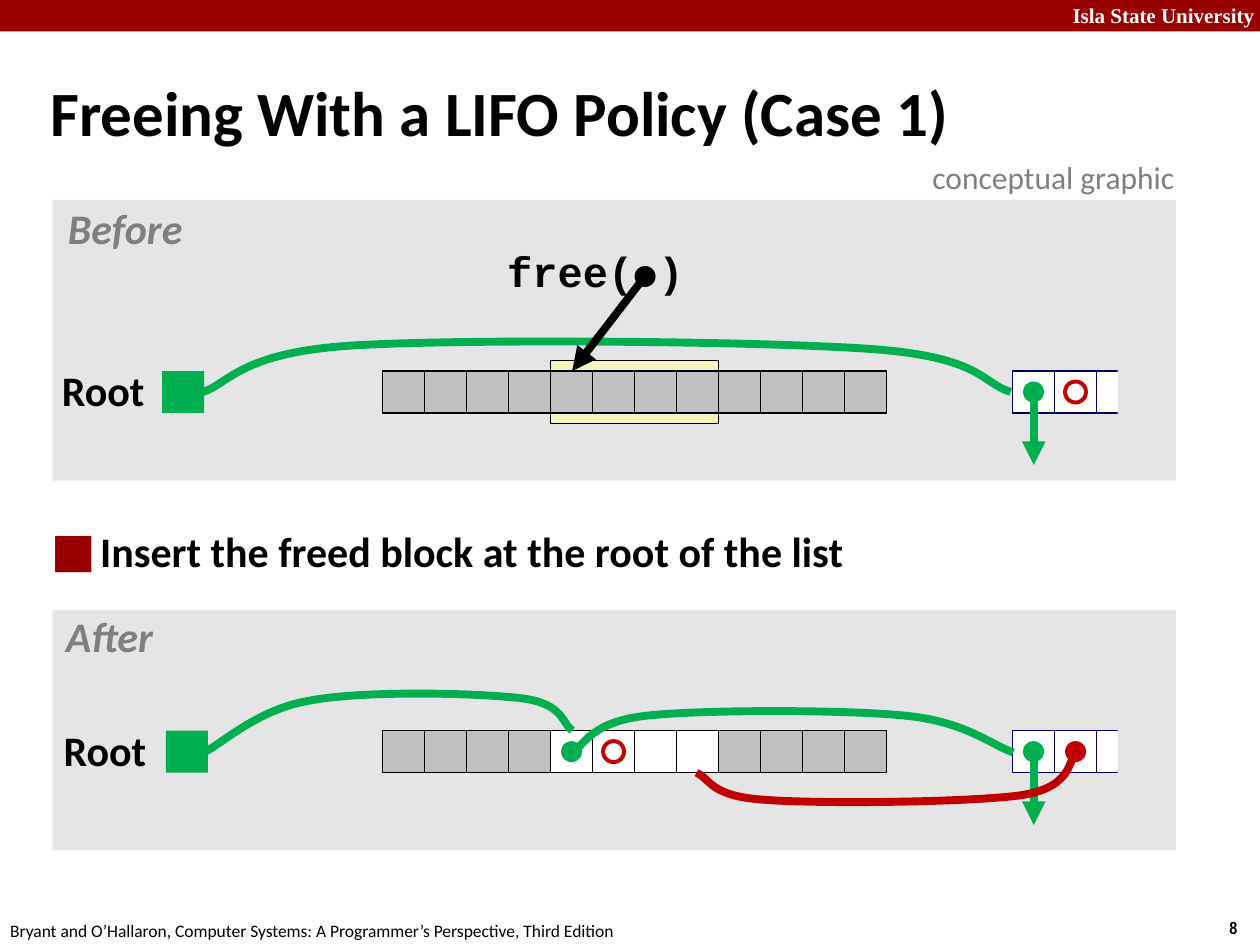
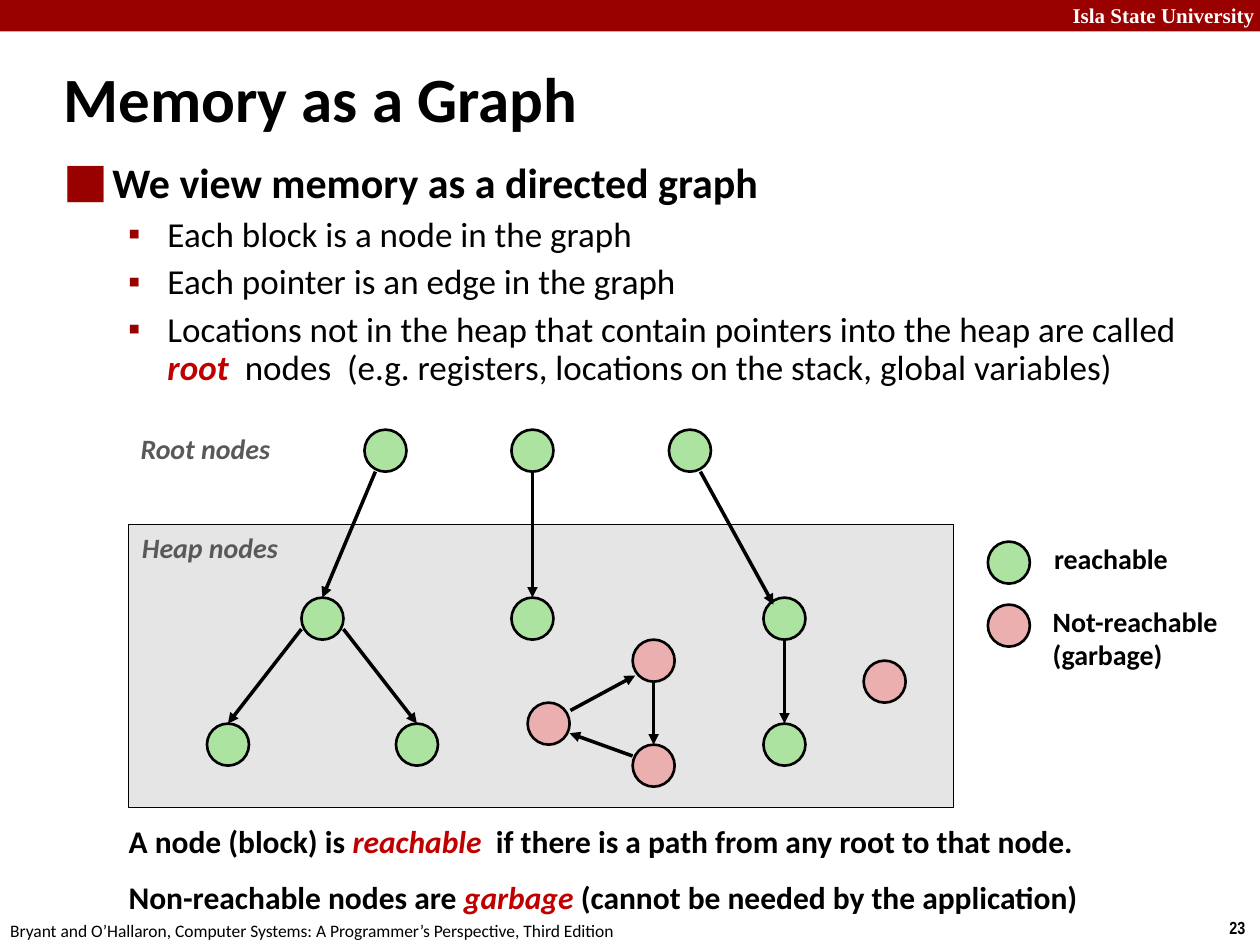
from lxml import etree
from pptx import Presentation, util as u
from pptx.dml.color import RGBColor
from pptx.enum import shapes, text
from pptx.oxml import ns

Pt = u.Pt
RECT, OVAL = shapes.MSO_SHAPE.RECTANGLE, shapes.MSO_SHAPE.OVAL
LEFT, CENTER, RIGHT = text.PP_ALIGN.LEFT, text.PP_ALIGN.CENTER, text.PP_ALIGN.RIGHT

THEME = {
    "color": {
        "band": "990000", "panel": "E5E5E5", "black": "000000", "white": "FFFFFF",
        "green": "00B050", "red": "C00000", "used": "C0C0C0", "navy": "000066",
        "highlight": "F6F5BD", "gray": "7F7F7F", "dark gray": "595959",
        "reachable": "ACE3A1", "garbage": "EBAFAF",
    },
    "type": {
        "header": ("Times New Roman", 12, "white", True, False),
        "number": ("Arial Narrow", 10, "black", True, False),
        "footer": ("Calibri", 10, "black", False, False),
        "title": ("Calibri", 36, "black", True, False),
        "list": ("Calibri", 24, "black", True, False),
        "sublist": ("Calibri", 20, "black", False, False),
        "sublist term": ("Calibri", 20, "red", True, True),
        "code": ("Courier New", 24, "black", True, False),
        "stage": ("Calibri", 24, "gray", True, True),
        "caption": ("Calibri", 18, "gray", False, False),
        "area": ("Calibri", 16, "dark gray", True, True),
        "legend": ("Calibri", 16, "black", True, False),
        "note": ("Calibri", 18, "black", True, False),
        "note term": ("Calibri", 18, "red", True, True),
    },
}
COLOR = {name: RGBColor.from_string(value) for name, value in THEME["color"].items()}


def add_mark(parent, kind, left, top, width, height, fill=None, line=None, weight=0.75):
    shape = parent.shapes.add_shape(kind, Pt(left), Pt(top), Pt(width), Pt(height))
    shape.shadow.inherit = False
    if fill:
        shape.fill.solid()
        shape.fill.fore_color.rgb = COLOR[fill]
    else:
        shape.fill.background()
    if line:
        shape.line.color.rgb = COLOR[line]
        shape.line.width = Pt(weight)
    else:
        shape.line.fill.background()


def set_text(shape, box, paragraphs, align=LEFT, spacing=1.0, inset=7.2):
    shape.left, shape.top, shape.width, shape.height = map(Pt, box)
    frame = shape.text_frame
    frame.word_wrap = True
    frame.auto_size = text.MSO_AUTO_SIZE.NONE
    frame.margin_left = frame.margin_right = Pt(inset)
    frame.margin_top = frame.margin_bottom = Pt(3.6)
    for index, (runs, layout) in enumerate(paragraphs):
        paragraph = frame.add_paragraph() if index else frame.paragraphs[0]
        paragraph.alignment = align
        paragraph.level = layout.get("level", 0)
        paragraph.line_spacing = layout.get("spacing", spacing)
        paragraph.space_before = Pt(layout.get("before", 0))
        properties = paragraph._p.get_or_add_pPr()
        margin, hang = layout.get("indent", (0, 0))
        properties.set("marL", str(Pt(margin)))
        properties.set("indent", str(Pt(-hang)))
        if "bullet" in layout:
            color = etree.SubElement(properties, ns.qn("a:buClr"))
            etree.SubElement(color, ns.qn("a:srgbClr"), val=THEME["color"]["band"])
            etree.SubElement(properties, ns.qn("a:buChar"), char=layout["bullet"])
        for words, style in runs:
            if words == "\n":
                paragraph.add_line_break()
                continue
            run = paragraph.add_run()
            run.text = words
            font = run.font
            font.name, size, color, font.bold, font.italic = THEME["type"][style]
            font.size = Pt(size)
            font.color.rgb = COLOR[color]


presentation = Presentation()
presentation.slide_width, presentation.slide_height = Pt(720), Pt(540)

ITEM = {"indent": (27, 27), "bullet": "⬛"}
SUBITEM = {"level": 1, "indent": (58.5, 22.5), "bullet": "▪", "spacing": 0.9, "before": 5.6}
pages = [
    ("8", "Freeing With a LIFO Policy (Case 1)", (21.5, 36, 686, 62), (23, 299, 654, 44), [
        ([("Insert the freed block at the root of the list", "list")], {**ITEM, "spacing": 0.95}),
    ]),
    ("23", "Memory as a Graph", (29, 36, 499, 45), (30, 90.25, 667, 122), [
        ([("We view memory as a directed graph", "list")], {**ITEM, "spacing": 0.85}),
        ([("Each block is a node in the graph", "sublist")], SUBITEM),
        ([("Each pointer is an edge in the graph", "sublist")], SUBITEM),
        ([("Locations not in the heap that contain pointers into the heap are called ", "sublist"),
          ("root", "sublist term"),
          ("  nodes  (e.g. registers, locations on the stack, global variables)", "sublist")],
         SUBITEM),
    ]),
]
for number, title, title_box, body_box, items in pages:
    slide = presentation.slides.add_slide(presentation.slide_layouts[1])
    add_mark(slide, RECT, 0, 0, 720, 18, "band")
    for words, style, box, align in [
        ("Isla State University", "header", (604, -2, 120, 22), RIGHT),
        (number, "number", (695.5, 520.5, 25, 20), LEFT),
        ("Bryant and O’Hallaron, Computer Systems: A Programmer’s Perspective, Third Edition",
         "footer", (-1.25, 522, 366, 20), LEFT),
    ]:
        label = slide.shapes.add_textbox(0, 0, 0, 0)
        set_text(label, box, [([(words, style)], {})], align)
    set_text(slide.shapes.title, title_box, [([(title, "title")], {})], spacing=0.87)
    slide.shapes.title.text_frame.vertical_anchor = text.MSO_ANCHOR.MIDDLE
    set_text(slide.placeholders[1], body_box, items)

lifo, graph = presentation.slides

CELL, DOT = 24, 12
BLOCK_LEFT, LIST_LEFT, FREED = 218.6, 578.6, range(4, 8)
BEFORE_TOP, AFTER_TOP = 212, 417.5
add_mark(lifo, RECT, 30, 348.5, 642, 137.5, "panel")
add_mark(lifo, RECT, 30, 114.25, 642, 160.5, "panel")
add_mark(lifo, RECT, BLOCK_LEFT + 4 * CELL, BEFORE_TOP - 6, 4 * CELL, 36, "highlight", "black")
for top, root_left, freed_fill in [(BEFORE_TOP, 92.6, "used"), (AFTER_TOP, 94.75, "white")]:
    add_mark(lifo, RECT, root_left, top, CELL, CELL, "green")
    for index in range(12):
        fill = freed_fill if index in FREED else "used"
        add_mark(lifo, RECT, BLOCK_LEFT + index * CELL, top, CELL, CELL, fill, "black")
    list_node = lifo.shapes.add_group_shape()
    for index in range(3):
        add_mark(list_node, RECT, LIST_LEFT + index * CELL, top, CELL, CELL, "white", "navy")
    add_mark(list_node, RECT, LIST_LEFT + 2.5 * CELL, top - 6, CELL, 36, "panel")
    add_mark(lifo, OVAL, LIST_LEFT + 6, top + 6, DOT, DOT, "green")

list_previous, freed_next = LIST_LEFT + CELL + 6, BLOCK_LEFT + 4 * CELL + 6
add_mark(lifo, OVAL, list_previous, BEFORE_TOP + 6, DOT, DOT, None, "red", 2.25)
add_mark(lifo, OVAL, list_previous, AFTER_TOP + 6, DOT, DOT, "red")
add_mark(lifo, OVAL, freed_next, AFTER_TOP + 6, DOT, DOT, "green")
add_mark(lifo, OVAL, freed_next + CELL, AFTER_TOP + 6, DOT, DOT, None, "red", 2.25)
add_mark(lifo, OVAL, 362.6, 152, DOT, DOT, "black")

NODE = 24
add_mark(graph, RECT, 73.5, 299.75, 471.5, 161.75, "panel", "black")
nodes = {
    "reachable": [(208.25, 245.5), (292.25, 245.5), (382.25, 245.5),
                  (172.25, 341.5), (292.25, 341.5), (436.25, 341.5),
                  (118.25, 413.5), (226.25, 413.5), (436.25, 413.5), (564.5, 309.5)],
    "garbage": [(361.5, 365.5), (361.5, 425.5), (301.5, 401.5), (493.5, 377.5), (564.5, 345.5)],
}
for state, positions in nodes.items():
    for left, top in positions:
        add_mark(graph, OVAL, left, top, NODE, NODE, state, "black", 1.5)

labels = [
    (lifo, "free( )", "code", (285, 140, 110.5, 34), CENTER, 0.9, 3.6),
    (lifo, "Root", "list", (31, 208, 56, 34), CENTER, 0.9, 3.6),
    (lifo, "Root", "list", (32, 413.5, 56, 34), CENTER, 0.9, 3.6),
    (lifo, "Before", "stage", (34, 115.5, 75, 34), CENTER, 0.9, 3.6),
    (lifo, "After", "stage", (32.5, 348.5, 60, 34), CENTER, 0.9, 3.6),
    (lifo, "conceptual graphic", "caption", (525.75, 87, 156, 29), LEFT, 1, 7.2),
    (graph, "Root nodes", "area", (73.25, 243, 92, 27), LEFT, 1, 7.2),
    (graph, "Heap nodes", "area", (74, 299.75, 95, 27), LEFT, 1, 7.2),
    (graph, "reachable", "legend", (595.25, 305.75, 81, 27), LEFT, 1, 7.2),
    (graph, "Not-reachable\n(garbage)", "legend", (594.5, 341.75, 111, 46), LEFT, 1, 7.2),
]
for slide, words, style, box, align, spacing, inset in labels:
    runs = [(part, style) for part in words.replace("\n", "|\n|").split("|")]
    label = slide.shapes.add_textbox(0, 0, 0, 0)
    set_text(label, box, [(runs, {})], align, spacing, inset)

notes = [
    ([("A node (block) is ", "note"), ("reachable", "note term"),
      ("  if there is a path from any root to that node.", "note")], {"indent": (30, 30)}),
    ([("Non-reachable nodes are ", "note"), ("garbage ", "note term"),
      ("(cannot be needed by the application)", "note")], {"indent": (30, 30), "before": 11.2}),
]
set_text(graph.shapes.add_textbox(0, 0, 0, 0), (66.4, 468, 583, 66), notes, spacing=0.95)

links = [
    (lifo, "green", 4.5, [(116, 224), (130.5, 219.5), (137, 201.5), (201, 197.5), (264, 193.5),
                          (435.5, 195), (498, 199.5), (561, 204), (561, 219), (577.5, 224)]),
    (lifo, "black", 4.5, [(368.5, 158), (327, 212)]),
    (lifo, "green", 4.5, [(590.75, 224), (590.75, 265.75)]),
    (lifo, "green", 4.5, [(590.75, 429.5), (590.75, 471.5)]),
    (lifo, "green", 4.5, [(116.5, 430), (127, 425), (147, 405.5), (176.5, 400.5), (206.5, 394.5),
                          (272, 396), (297.5, 399), (322.5, 402), (321, 413.5), (327, 417.5)]),
    (lifo, "green", 4.5, [(327, 430), (334, 426), (337.5, 412.5), (369.5, 409), (401, 405.5),
                          (483, 405.5), (517.5, 409), (552, 412.5), (566, 425.5), (579, 430)]),
    (lifo, "red", 4.5, [(615, 430.5), (610, 434), (613.5, 450), (583, 454.5), (553.5, 458.5),
                        (467.5, 459.5), (436.5, 457), (405.5, 455), (406, 445), (398, 441.5)]),
]
edges = [
    [(214.5, 269.5), (184.25, 341.5)], [(304.25, 269.5), (304.25, 341.5)],
    [(400.25, 269.5), (442, 345.5)], [(172.25, 359.5), (130.25, 413.5)],
    [(196.25, 359.5), (238.25, 413.5)], [(448.25, 365.5), (448.25, 413.5)],
    [(373.5, 389.5), (373.5, 425.5)], [(361.5, 432), (325.5, 419)], [(326, 406), (363, 386)],
]
links += [(graph, "black", 2, edge) for edge in edges]
for slide, color, weight, points in links:
    if len(points) == 2:
        start, end = points
        link = slide.shapes.add_connector(
            shapes.MSO_CONNECTOR.STRAIGHT, *map(Pt, start), *map(Pt, end))
        etree.SubElement(link._element.spPr, ns.qn("a:effectLst"))
    else:
        builder = slide.shapes.build_freeform(*map(Pt, points[0]))
        builder.add_line_segments([tuple(map(Pt, point)) for point in points[1:]], close=False)
        link = builder.convert_to_shape()
        link.fill.background()
        link.shadow.inherit = False
        segments = list(link._element.iter(ns.qn("a:lnTo")))
        for first in range(0, len(segments), 3):
            bezier = etree.Element(ns.qn("a:cubicBezTo"))
            segments[first].addprevious(bezier)
            for segment in segments[first:first + 3]:
                bezier.append(segment[0])
                segment.getparent().remove(segment)
    link.line.color.rgb = COLOR[color]
    link.line.width = Pt(weight)
    if len(points) == 2:
        outline = link._element.spPr.find(ns.qn("a:ln"))
        etree.SubElement(outline, ns.qn("a:tailEnd"), type="triangle")

presentation.save("out.pptx")
